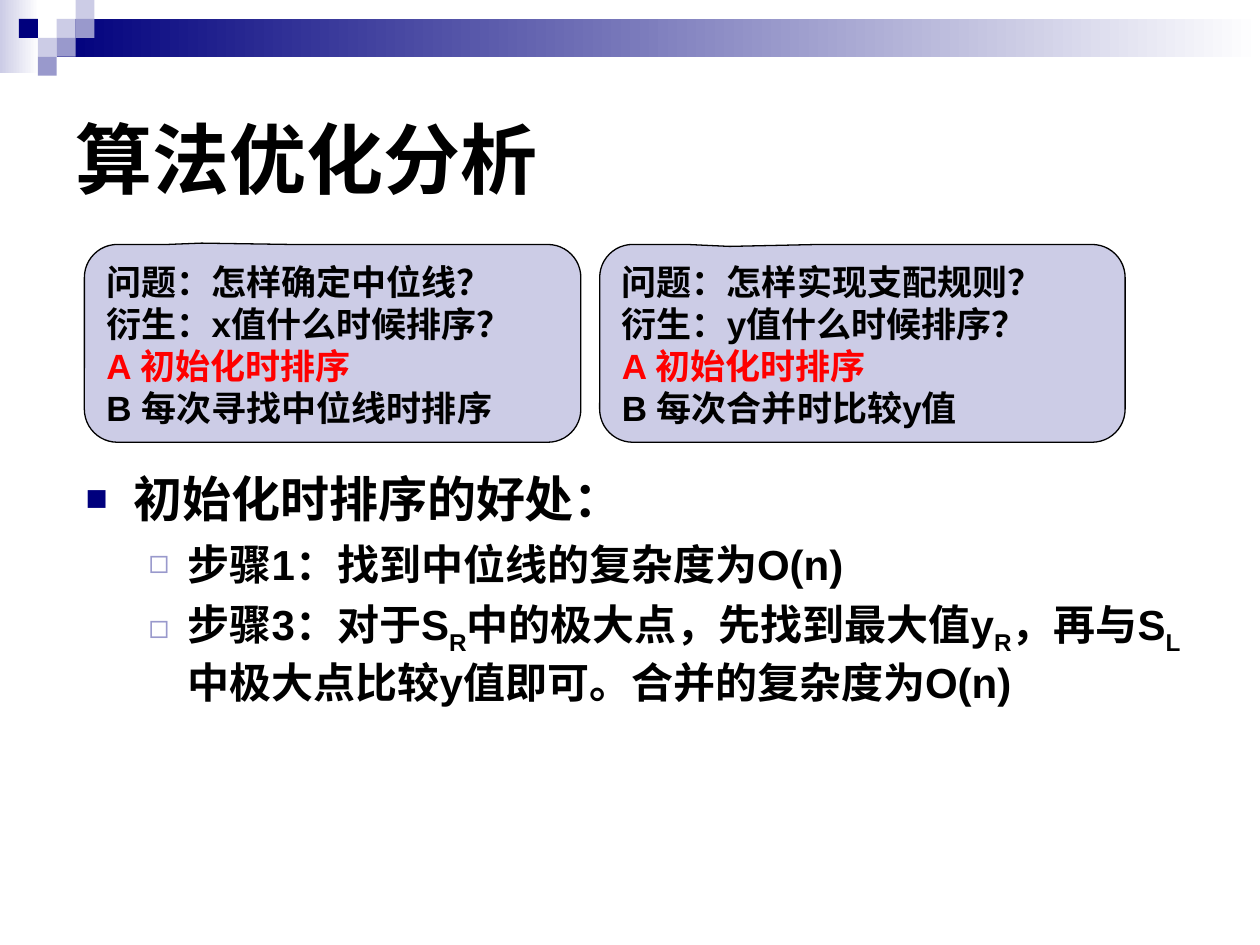
from lxml import etree
from pptx import Presentation
from pptx.dml.color import RGBColor
from pptx.enum.shapes import MSO_SHAPE
from pptx.enum.text import MSO_ANCHOR, MSO_AUTO_SIZE, PP_ALIGN
from pptx.oxml.ns import qn
from pptx.util import Inches, Pt

RECT = MSO_SHAPE.RECTANGLE
CALLOUT = MSO_SHAPE.ROUNDED_RECTANGULAR_CALLOUT
TOP, MIDDLE = MSO_ANCHOR.TOP, MSO_ANCHOR.MIDDLE
LEFT = PP_ALIGN.LEFT
FIXED = MSO_AUTO_SIZE.NONE

BLACK = RGBColor(0x00, 0x00, 0x00)
WHITE = RGBColor(0xFF, 0xFF, 0xFF)
RED = RGBColor(0xFF, 0x00, 0x00)
NAVY = RGBColor(0x00, 0x00, 0x7D)
LILAC = RGBColor(0x99, 0x99, 0xCC)
PALE = RGBColor(0xCC, 0xCC, 0xE6)

WIDE, HIGH = Inches(10), Inches(7.5)
FONT = "Arial"
TILE = Inches(0.15)
TILES = [(3, 1, PALE), (4, 0, PALE), (4, 1, LILAC), (2, 2, PALE),
         (1, 1, NAVY), (3, 2, LILAC), (2, 3, LILAC)]

TITLE_BOX = (5, 6.67, 90, 20)
BODY_BOX = (5.8, 48.93, 90, 29.33)
CARDS = [
    ((6.7, 25.87, 39.4, 20.93), (-0.264, -0.507, 0.167),
     ["问题：怎样确定中位线？", "衍生：x值什么时候排序？",
      "A 初始化时排序", "B 每次寻找中位线时排序"]),
    ((47.6, 25.87, 41.7, 20.93), (-0.253, -0.49, 0.167),
     ["问题：怎样实现支配规则？", "衍生：y值什么时候排序？",
      "A 初始化时排序", "B 每次合并时比较y值"]),
]
PICK = 2

LEVELS = [
    dict(size=28, left=0.38, hang=0.38, gap=7, mark="■", tint=NAVY, scale=75),
    dict(size=24, left=0.81, hang=0.31, gap=6, mark="◻", tint=LILAC, scale=80),
]
POINTS = [
    (0, ["初始化时排序的好处："]),
    (1, ["步骤1：找到中位线的复杂度为O(n)"]),
    (1, ["步骤3：对于S", "R", "中的极大点，先找到最大值y", "R", "，再与S", "L",
         "中极大点比较y值即可。合并的复杂度为O(n)"]),
]


def place(box):
    """Turn a box in percent of the slide into lengths."""
    x, y, w, h = box
    return (int(WIDE * x / 100), int(HIGH * y / 100),
            int(WIDE * w / 100), int(HIGH * h / 100))


def seat(holder, box):
    """Move a placeholder into its box and return its text frame."""
    holder.left, holder.top, holder.width, holder.height = place(box)
    frame = holder.text_frame
    frame.auto_size = FIXED
    frame.word_wrap = True
    return frame


def add_run(para, text, size, color=BLACK):
    """Add one bold run and return it."""
    run = para.add_run()
    run.text = text
    font = run.font
    font.name, font.size, font.bold = FONT, Pt(size), True
    font.color.rgb = color
    return run


def next_para(frame, index):
    """Return the first paragraph or a fresh one."""
    return frame.add_paragraph() if index else frame.paragraphs[0]


def add_rect(slide, box, *colors):
    """Draw a plain rectangle, shaded when given two colours."""
    shape = slide.shapes.add_shape(RECT, *box)
    shape.shadow.inherit = False
    shape.line.fill.background()
    if len(colors) == 1:
        shape.fill.solid()
        shape.fill.fore_color.rgb = colors[0]
    else:
        shape.fill.gradient()
        shape.fill.gradient_angle = 0
        for stop, color in zip(shape.fill.gradient_stops, colors):
            stop.color.rgb = color


def add_band(slide):
    """Draw the shaded bars and the tile mosaic along the top."""
    add_rect(slide, (0, 0, Inches(0.31), Inches(0.58)), PALE, WHITE)
    add_rect(slide, (3 * TILE, TILE, WIDE - 3 * TILE, 2 * TILE), NAVY, WHITE)
    for col, row, color in TILES:
        add_rect(slide, (col * TILE, row * TILE, TILE, TILE), color)


def add_title(slide, box):
    """Fill the title placeholder."""
    frame = seat(slide.shapes.title, box)
    frame.vertical_anchor = MIDDLE
    para = frame.paragraphs[0]
    para.alignment = LEFT
    add_run(para, "算法优化分析", 44)


def set_bullet(para, level):
    """Give a paragraph its indent and coloured bullet."""
    props = para._p.get_or_add_pPr()
    props.set("marL", str(Inches(level["left"])))
    props.set("indent", str(-Inches(level["hang"])))
    tint = etree.SubElement(props, qn("a:buClr"))
    etree.SubElement(tint, qn("a:srgbClr"), val=str(level["tint"]))
    etree.SubElement(props, qn("a:buSzPct"), val=str(level["scale"] * 1000))
    etree.SubElement(props, qn("a:buFont"), typeface=FONT)
    etree.SubElement(props, qn("a:buChar"), char=level["mark"])


def add_body(slide, box):
    """Fill the body placeholder; every second run is a subscript."""
    frame = seat(slide.placeholders[1], box)
    frame.vertical_anchor = TOP
    for i, (depth, parts) in enumerate(POINTS):
        level = LEVELS[depth]
        para = next_para(frame, i)
        para.level = depth
        set_bullet(para, level)
        para.space_before = Pt(level["gap"] if i else 0)
        for j, text in enumerate(parts):
            run = add_run(para, text, level["size"])
            if j % 2:
                run._r.get_or_add_rPr().set("baseline", "-25000")


def add_card(slide, box, bends, lines):
    """Draw a callout with its question and choices, the pick in red."""
    card = slide.shapes.add_shape(CALLOUT, *place(box))
    card.shadow.inherit = False
    for i, bend in enumerate(bends):
        card.adjustments[i] = bend
    card.fill.solid()
    card.fill.fore_color.rgb = PALE
    card.line.color.rgb = BLACK
    card.line.width = Pt(0.75)
    frame = card.text_frame
    frame.word_wrap = True
    frame.vertical_anchor = TOP
    for i, text in enumerate(lines):
        para = next_para(frame, i)
        para.alignment = LEFT
        add_run(para, text, 20, RED if i == PICK else BLACK)


def main():
    """Build and save the slide."""
    deck = Presentation()
    deck.slide_width, deck.slide_height = WIDE, HIGH
    slide = deck.slides.add_slide(deck.slide_layouts[1])
    add_band(slide)
    add_title(slide, TITLE_BOX)
    add_body(slide, BODY_BOX)
    for card in CARDS:
        add_card(slide, *card)
    deck.save("out.pptx")


if __name__ == "__main__":
    main()
